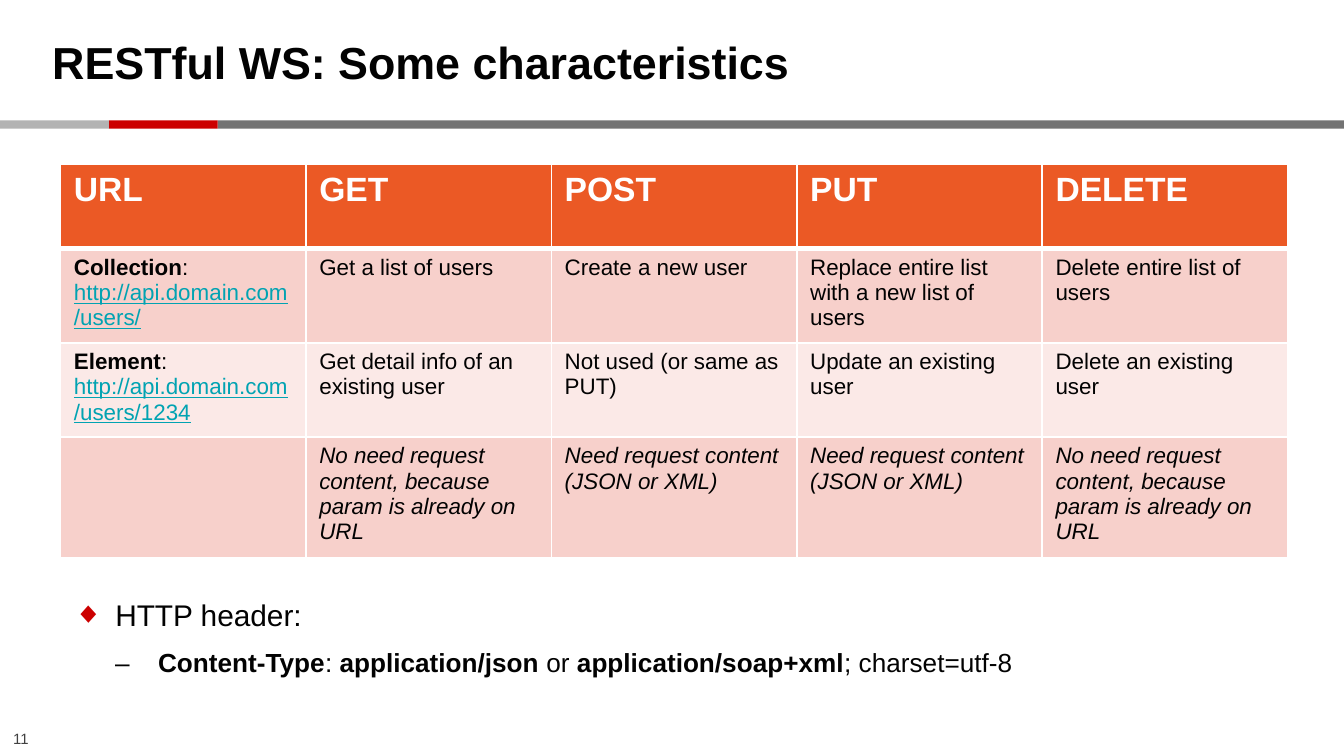
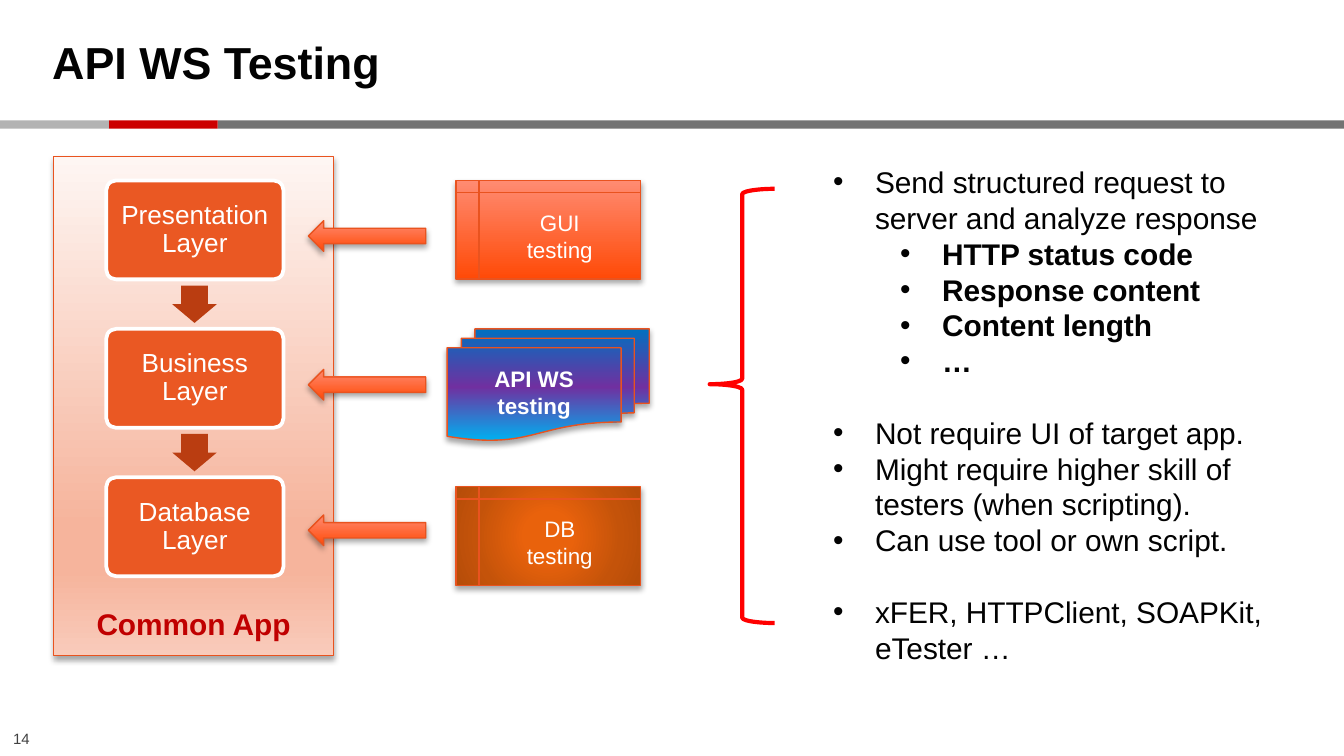
from pptx import Presentation, oxml
from pptx import util as u
from pptx.dml import color
from pptx.enum import shapes, text
from pptx.oxml import ns

COLORS = {
    "ink": "020202", "white": "FFFFFF", "number": "414141",
    "gray": "737373", "red": "CC0000", "silver": "B3B3B3",
    "header": "EB5925", "band": "F7D0CB", "pale": "FBE9E7", "link": "01A3B2",
    "outline": "E9531F", "layer": "EA5823", "step": "BA3D11",
    "label": "C00000", "brace": "FF0000",
}
APP_FILL = [(0, "FEF6F3"), (74, "F6B49C"), (83, "F6B49C"), (100, "F9CBBB")]
ORANGE_FILL = [(0, "FF4A07"), (100, "FF8B72")]
API_FILL = [(0, "00B0F0"), (48, "7030A0"), (100, "0070C0")]
DB_FILL = [(0, "E9620C"), (23, "E9620C"), (69, "C4530A"), (97, "B74D09"), (100, "B74D09")]
KIND = shapes.MSO_SHAPE
MIDDLE, BOTTOM = text.MSO_ANCHOR.MIDDLE, text.MSO_ANCHOR.BOTTOM
CENTER = text.PP_ALIGN.CENTER


def rgb(name):
    return color.RGBColor.from_string(COLORS[name])


def element(markup):
    tag, rest = markup[1:].split(None, 1)
    return oxml.parse_xml(f'<{tag} {ns.nsdecls("a")} {rest}')


class Deck:
    font = "Arial"

    def __init__(self):
        self.presentation = Presentation()
        self.presentation.slide_width = u.Pt(720)
        self.presentation.slide_height = u.Pt(405)
        self.slide = None

    def start(self, title, number):
        self.slide = self.presentation.slides.add_slide(self.presentation.slide_layouts[6])
        for left, width, name in ((116.6, 603.4, "gray"), (58.3, 58.3, "red"), (0, 58.3, "silver")):
            self.shape(KIND.RECTANGLE, (left, 64.5, width, 4.4), name)
        frame = self.box((20.9, 4.3, 555, 57.6), (7.2, 0), MIDDLE)
        self.paragraph(frame, [(title, {"bold": True})], 24)
        frame = self.box((0, 387.3, 24.5, 17), (7.2, 3.6))
        frame.word_wrap = False
        self.paragraph(frame, [(str(number), {})], 8, "number")

    def setup(self, frame, insets, anchor=None):
        frame.word_wrap = True
        frame.margin_left = frame.margin_right = u.Pt(insets[0])
        frame.margin_top = frame.margin_bottom = u.Pt(insets[1])
        if anchor is not None:
            frame.vertical_anchor = anchor
        return frame

    def box(self, place, insets, anchor=None):
        shape = self.slide.shapes.add_textbox(*map(u.Pt, place))
        return self.setup(shape.text_frame, insets, anchor)

    def paragraph(self, frame, runs, size, name="ink", align=None, spacing=None, before=None):
        paragraph = frame.paragraphs[0]
        if paragraph.runs:
            paragraph = frame.add_paragraph()
        if align is not None:
            paragraph.alignment = align
        if spacing:
            paragraph.line_spacing = spacing
        if before:
            paragraph.space_before = u.Pt(before)
        for words, style in runs:
            run = paragraph.add_run()
            run.text = words
            run.font.name = self.font
            run.font.size = u.Pt(size)
            run.font.bold = style.get("bold", False)
            run.font.italic = style.get("italic", False)
            run.font.underline = style.get("underline", False)
            run.font.color.rgb = rgb(style.get("color", name))
        return paragraph

    def bullet(self, paragraph, mark, left, hanging, name="ink", level=0):
        paragraph.level = level
        properties = paragraph._p.get_or_add_pPr()
        properties.set("marL", str(u.Pt(left)))
        properties.set("indent", str(-u.Pt(hanging)))
        properties.append(element(f'<a:buClr ><a:srgbClr val="{COLORS[name]}"/></a:buClr>'))
        properties.append(element('<a:buFont typeface="Arial"/>'))
        properties.append(element(f'<a:buChar char="{mark}"/>'))

    def shape(self, kind, place, fill=None, line=None, weight=0.75, adjustments=(), turn=0):
        shape = self.slide.shapes.add_shape(kind, *map(u.Pt, place))
        shape.shadow.inherit = False
        shape.rotation = turn
        for index, value in enumerate(adjustments):
            shape.adjustments[index] = value
        if fill:
            shape.fill.solid()
            shape.fill.fore_color.rgb = rgb(fill)
        else:
            shape.fill.background()
        if line:
            shape.line.color.rgb = rgb(line)
            shape.line.width = u.Pt(weight)
        else:
            shape.line.fill.background()
        return shape

    def glossy(self, kind, place, stops, angle=270, adjustments=()):
        shape = self.shape(kind, place, line="outline", adjustments=adjustments)
        marks = "".join(f'<a:gs pos="{position * 1000}"><a:srgbClr val="{value}"/></a:gs>'
                        for position, value in stops)
        if angle is None:
            direction = ('<a:path path="circle"><a:fillToRect l="50000" t="50000" '
                         'r="50000" b="50000"/></a:path>')
        else:
            direction = f'<a:lin ang="{angle * 60000}" scaled="0"/>'
        properties = shape._element.spPr
        properties.replace(
            properties.find(ns.qn("a:noFill")),
            element(f'<a:gradFill rotWithShape="1"><a:gsLst>{marks}</a:gsLst>{direction}</a:gradFill>'))
        properties.find(ns.qn("a:effectLst")).append(element(
            f'<a:outerShdw blurRad="{u.Pt(3.1)}" dist="{u.Pt(1.8)}" dir="5400000" rotWithShape="0">'
            '<a:srgbClr val="000000"><a:alpha val="34000"/></a:srgbClr></a:outerShdw>'))
        return shape

    def caption(self, shape, lines, size, bold=False, name="white", insets=(7.2, 3.6),
                anchor=MIDDLE, spacing=None):
        frame = self.setup(shape.text_frame, insets, anchor)
        for line in lines:
            self.paragraph(frame, [(line, {"bold": bold})], size, name, CENTER, spacing)

    def table(self, place, heights, rows):
        size = (*place, sum(heights))
        table = self.slide.shapes.add_table(len(rows), len(rows[0]), *map(u.Pt, size)).table
        for row_index, row in enumerate(rows):
            table.rows[row_index].height = u.Pt(heights[row_index])
            fill = "header" if row_index == 0 else "band" if row_index % 2 else "pale"
            for column_index, runs in enumerate(row):
                cell = table.cell(row_index, column_index)
                self.borders(cell, 3 if row_index == 1 else 1, 3 if row_index == 0 else 1)
                cell.fill.solid()
                cell.fill.fore_color.rgb = rgb(fill)
                if runs:
                    size, name = (18, "white") if row_index == 0 else (12, "ink")
                    self.paragraph(cell.text_frame, runs, size, name)

    def borders(self, cell, top, bottom):
        properties = cell._tc.get_or_add_tcPr()
        for side, weight in (("L", 1), ("R", 1), ("T", top), ("B", bottom)):
            properties.append(element(
                f'<a:ln{side} w="{u.Pt(weight)}"><a:solidFill><a:srgbClr val="{COLORS["white"]}"/>'
                f'</a:solidFill></a:ln{side}>'))


def plain(*words, **style):
    return [[(word, style)] for word in words]


def address(label, link):
    return [(label, {"bold": True}), (": ", {}), (link, {"color": "link", "underline": True})]


def build_characteristics(deck):
    deck.start("RESTful WS: Some characteristics", 11)
    no_content = "No need request content, because param is already on URL"
    content = "Need request content (JSON or XML)"
    deck.table((32.4, 88.2, 657.4), (45, 47.6, 47.6, 60.8), [
        plain("URL", "GET", "POST", "PUT", "DELETE", bold=True),
        [address("Collection", "http://api.domain.com/users/")] + plain(
            "Get a list of users", "Create a new user",
            "Replace entire list with a new list of users", "Delete entire list of users"),
        [address("Element", "http://api.domain.com/users/1234")] + plain(
            "Get detail info of an existing user", "Not used (or same as PUT)",
            "Update an existing user", "Delete an existing user"),
        [None] + plain(no_content, content, content, no_content, italic=True),
    ])
    frame = deck.box((32.2, 312.5, 675, 60), (7.2, 7.2))
    paragraph = deck.paragraph(frame, [("HTTP header:", {})], 16)
    deck.bullet(paragraph, "◆", 22.5, 22.5, "red")
    strong = {"bold": True}
    paragraph = deck.paragraph(frame, [
        ("Content-Type", strong), (": ", {}), ("application/json", strong), (" or ", {}),
        ("application/soap+xml", strong), ("; charset=utf-8", {})], 14, spacing=0.95, before=8.8)
    deck.bullet(paragraph, "‒", 45.4, 23, level=1)


def build_testing(deck):
    deck.start("API WS Testing", 14)
    app = deck.glossy(KIND.RECTANGLE, (28.8, 84, 149.8, 267.1), APP_FILL, 90)
    deck.caption(app, ["Common App"], 16, True, "label", (7.2, 7.2), BOTTOM)
    layers = ("Presentation Layer", "Business Layer", "Database Layer")
    for index, layer in enumerate(layers):
        top = 96.7 + 79.5 * index
        shape = deck.shape(KIND.ROUNDED_RECTANGLE, (56.9, top, 95, 53), "layer", "white", 2, (0.1,))
        deck.caption(shape, [layer], 14, insets=(4.3, 4.3), spacing=0.9)
        if index < len(layers) - 1:
            deck.shape(KIND.RIGHT_ARROW, (94.2, top + 54.4, 20, 23.8), "step",
                       adjustments=(0.6, 0.5), turn=90)

    api = deck.glossy(KIND.FLOWCHART_MULTIDOCUMENT, (239.5, 176.2, 108.3, 59.8), API_FILL)
    deck.caption(api, ["API WS testing"], 12, True)
    for name, top, stops, angle in (("GUI", 96.6, ORANGE_FILL, 270), ("DB", 260.7, DB_FILL, None)):
        shape = deck.glossy(KIND.FLOWCHART_INTERNAL_STORAGE, (244.2, top, 99, 52.9), stops, angle)
        deck.caption(shape, [name, "testing"], 12)
    for top in (118.2, 197.9, 275.9):
        deck.glossy(KIND.LEFT_ARROW, (165.2, top, 62.9, 16.4), ORANGE_FILL, adjustments=(0.5, 0.5))

    frame = deck.box((439.2, 84.2, 252, 298), (7.2, 3.6))
    points = (
        ("Send structured request to server and analyze response", 0, 0),
        ("HTTP status code", 1, 0), ("Response content", 1, 0),
        ("Content length", 1, 0), ("…", 1, 0),
        ("Not require UI of target app.", 0, 19.2),
        ("Might require higher skill of testers (when scripting).", 0, 0),
        ("Can use tool or own script.", 0, 0),
        ("xFER, HTTPClient, SOAPKit, eTester …", 0, 19.2),
    )
    for words, level, before in points:
        paragraph = deck.paragraph(frame, [(words, {"bold": level == 1})], 16, before=before)
        deck.bullet(paragraph, "•", 22.5 + 36 * level, 22.5, level=level)
    deck.shape(KIND.LEFT_BRACE, (380.2, 101.2, 34.8, 232.6), line="brace", weight=2.25,
               adjustments=(0.083, 0.45))


def main():
    deck = Deck()
    build_characteristics(deck)
    build_testing(deck)
    deck.presentation.save("out.pptx")


if __name__ == "__main__":
    main()
